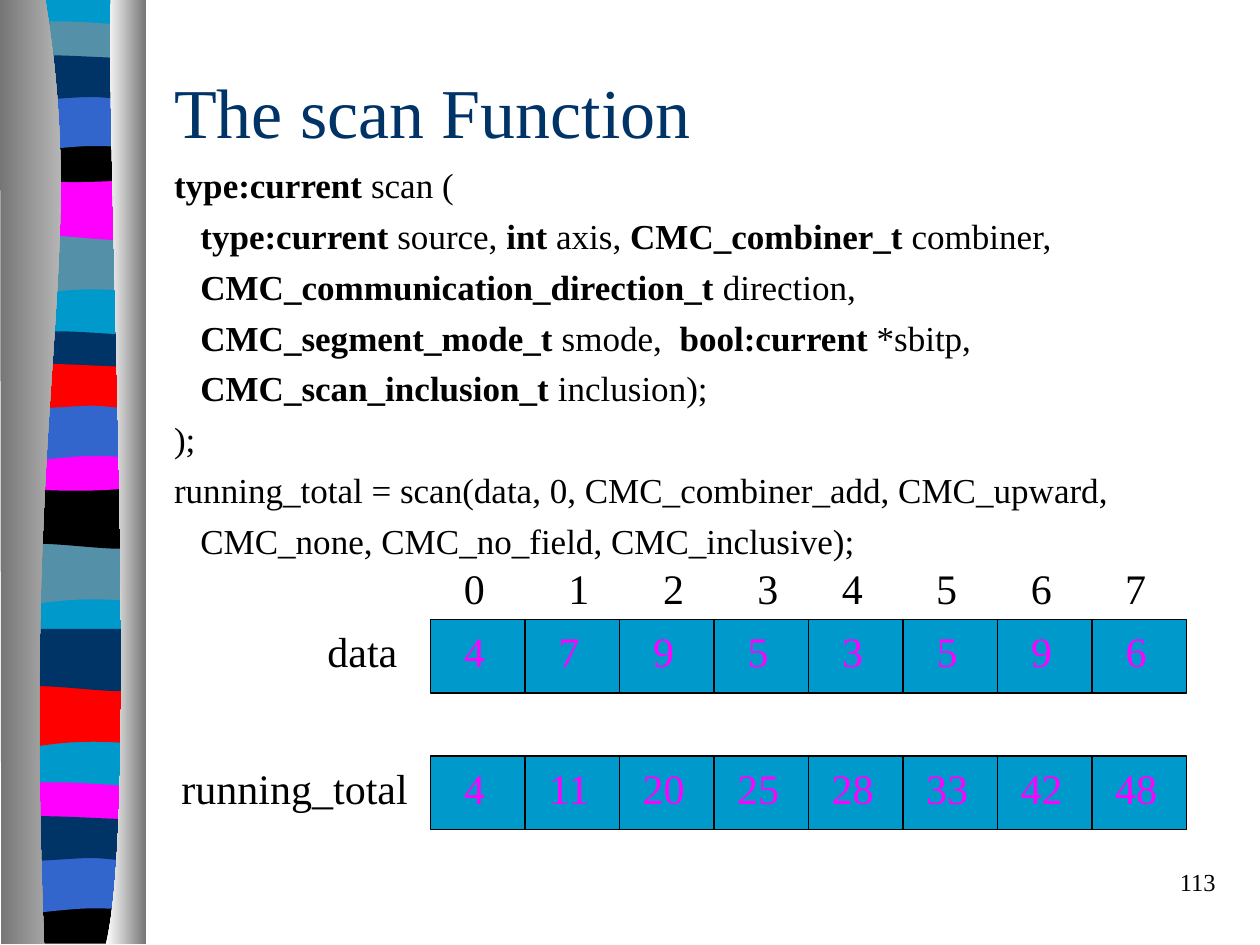
from pptx import Presentation
from pptx.dml.color import RGBColor
from pptx.enum.shapes import MSO_SHAPE as Shape
from pptx.enum.text import MSO_ANCHOR as Anchor, PP_ALIGN as Align
from pptx.oxml.ns import qn
from pptx.util import Cm, Pt
from lxml.etree import SubElement

FONT = "Times New Roman"
BLACK = RGBColor(0x00, 0x00, 0x00)
WHITE = RGBColor(0xFF, 0xFF, 0xFF)
NAVY = RGBColor(0x00, 0x33, 0x66)
CYAN = RGBColor(0x00, 0x99, 0xCC)
TEAL = RGBColor(0x54, 0x90, 0xA8)
BLUE = RGBColor(0x33, 0x66, 0xCC)
MAGENTA = RGBColor(0xFF, 0x00, 0xFF)
RED = RGBColor(0xFF, 0x00, 0x00)
GRAY = RGBColor(0x76, 0x76, 0x76)
SILVER = RGBColor(0xD4, 0xD4, 0xD4)

# Outlines are in inches: a pair is a corner, a triple of pairs a Bezier curve
INCH = Cm(2.54)
BAND_LEFT = 0.06
SAG = ((0.66, 0.05), (0.85, 0), (1.08, 0))
BANDS = {
    "fall": [(1.08, 0), (1.08, 0.47),
             ((0.33, 0.39), (0.18, 0.55), (0, 0.47)), (0, 0)],
    "swell": [(1.08, 0), (1.08, 0.47),
              ((0.9, 0.55), (0.33, 0.41), (0, 0.47)), (0, 0)],
    "lens": [(1.08, 0.05), (1.08, 0.29),
             ((0.9, 0.33), (0.18, 0.33), (0, 0.29)), (0, 0.05),
             ((0.06, 0), (0.23, 0.01), (0.41, 0.01)),
             ((0.59, 0.01), (0.94, 0.04), (1.08, 0.05))],
    "dip": [(1.08, 0), (1.08, 0.32),
            ((0.9, 0.38), (0.18, 0.38), (0, 0.32)), (0, 0), SAG],
    "base": [(1.08, 0), (1.08, 0.37), (0, 0.37), (0, 0), SAG],
    "arch": [(1.08, 0), (1.08, 0.47),
             ((0.91, 0.42), (0.84, 0.42), (0.66, 0.42)),
             ((0.48, 0.42), (0.16, 0.47), (0, 0.47)), (0, 0)],
    "flat": [(1.08, 0.05), (1.08, 0.36),
             ((1.01, 0.41), (0.84, 0.36), (0.66, 0.36)),
             ((0.48, 0.36), (0.11, 0.41), (0, 0.36)), (0, 0.05),
             ((0.15, 0), (0.73, 0.05), (0.91, 0.05)),
             ((1.09, 0.05), (1.04, 0.05), (1.08, 0.05))],
}
BAND_ROWS = [
    ("fall", 1.85, TEAL), ("swell", 1.41, MAGENTA), ("lens", 0.16, TEAL),
    ("dip", 1.08, BLACK), ("arch", 0.74, BLUE), ("flat", 0.41, NAVY),
    ("fall", 4.31, TEAL), ("swell", 3.86, BLACK), ("lens", 2.62, NAVY),
    ("dip", 3.53, MAGENTA), ("arch", 3.2, BLUE), ("flat", 2.86, RED),
    ("fall", 5.44, RED), ("swell", 4.99, NAVY), ("lens", 6.2, MAGENTA),
    ("base", 7.12, BLACK), ("arch", 6.79, BLUE), ("flat", 6.45, NAVY),
]
BACKING = [(1.08, 0), (1.08, 7.47), (0, 7.47), (0, 0)]
LEFT_PILLAR = [(0.36, 0), ((0.71, 2.16), (0.17, 2.96), (0.35, 7.49)),
               (0.01, 7.49), (0, 0)]
RIGHT_PILLAR = [(0.88, 0), ((0.84, 1.25), (1.11, 6.46), (0.84, 7.49)),
                (1.16, 7.49), (1.16, 0)]

# Each line is a list of (text, bold)
CODE = [
    [("type:current", True), (" scan (", False)],
    [("   ", False), ("type:current", True), (" source,", False),
     (" int", True), (" axis, ", False), ("CMC_combiner_t", True),
     (" combiner,", False)],
    [("   ", False), ("CMC_communication_direction_t", True),
     (" direction,", False)],
    [("   ", False), ("CMC_segment_mode_t", True), (" smode,  ", False),
     ("bool:current", True), (" *sbitp,", False)],
    [("   ", False), ("CMC_scan_inclusion_t", True), (" inclusion);", False)],
    [(");", False)],
    [("running_total = scan(data, 0, CMC_combiner_add, CMC_upward,", False)],
    [("   CMC_none, CMC_no_field, CMC_inclusive);", False)],
]

DATA = [4, 7, 9, 5, 3, 5, 9, 6]
TOTALS = [4, 11, 20, 25, 28, 33, 42, 48]
CELL_LEFT, CELL_HEIGHT = Cm(8.68), Cm(1.48)
CELL_WIDTH = Cm(15.24) // len(DATA)
DATA_TOP, TOTAL_TOP = Cm(12.49), Cm(15.24)
INDEX_STOPS = [0.85, 2.96, 4.87, 6.77, 8.47, 10.37, 12.28, 14.18]


def add_outline(page, outline, left=0, top=0):
    """Draw straight sides, then join each triple of them into one curve."""
    points, curve_starts = [], []
    for part in outline:
        if isinstance(part[0], tuple):
            curve_starts.append(len(points) - 1)
            points.extend(part)
        else:
            points.append(part)
    points = [((left + x) * INCH, (top + y) * INCH) for x, y in points]
    builder = page.shapes.build_freeform(*points[0])
    builder.add_line_segments(points[1:], close=True)
    shape = builder.convert_to_shape()
    sides = list(shape._element.iter(qn("a:lnTo")))
    for start in curve_starts:
        first, *others = sides[start:start + 3]
        first.tag = qn("a:cubicBezTo")
        for side in others:
            first.append(side[0])
            side.getparent().remove(side)
    shape.shadow.inherit = False
    shape.line.fill.background()
    return shape


def add_band(page, outline, top, color):
    band = add_outline(page, outline, BAND_LEFT, top)
    band.fill.solid()
    band.fill.fore_color.rgb = color


def add_pillar(page, outline, start, end):
    fill = add_outline(page, outline).fill
    fill.gradient()
    fill.gradient_angle = 0
    for stop, color, place in zip(fill.gradient_stops, (start, end), (0, 1)):
        stop.color.rgb = color
        stop.position = place


def add_span(para, text, size, color=BLACK, bold=False):
    span = para.add_run()
    span.text = text
    font = span.font
    font.name, font.size, font.bold = FONT, Pt(size), bold
    font.color.rgb = color


def add_text(page, place, lines, size, color=BLACK, align=Align.LEFT,
             anchor=Anchor.TOP, gap=0):
    frame = page.shapes.add_textbox(*map(Cm, place)).text_frame
    frame.word_wrap = True
    frame.vertical_anchor = anchor
    for number, line in enumerate(lines):
        para = frame.add_paragraph() if number else frame.paragraphs[0]
        para.alignment = align
        if number:
            para.space_before = Pt(gap)
        for text, bold in line:
            add_span(para, text, size, color, bold)
    return frame


def add_cells(page, top, values):
    for column, value in enumerate(values):
        cell = page.shapes.add_shape(Shape.RECTANGLE, CELL_LEFT + column * CELL_WIDTH,
                                     top, CELL_WIDTH, CELL_HEIGHT)
        cell.shadow.inherit = False
        cell.fill.solid()
        cell.fill.fore_color.rgb = CYAN
        cell.line.color.rgb = BLACK
        cell.line.width = Pt(0.75)
        frame = cell.text_frame
        frame.vertical_anchor = Anchor.TOP
        frame.margin_left, frame.margin_right = Cm(0.25), Cm(0.38)
        para = frame.paragraphs[0]
        para.alignment = Align.CENTER
        add_span(para, str(value), 24, MAGENTA)


def add_indices(page):
    text = "".join(f"\t{index}" for index in range(len(INDEX_STOPS)))
    frame = add_text(page, (8.25, 11.22, 16.5, 1.27), [[(text, False)]], 24)
    props = frame.paragraphs[0]._p.get_or_add_pPr()
    tabs = SubElement(props, qn("a:tabLst"))
    for stop in INDEX_STOPS:
        SubElement(tabs, qn("a:tab"), pos=str(Cm(stop)), algn="l")


def main():
    deck = Presentation()
    deck.slide_width, deck.slide_height = Cm(25.4), Cm(19.05)
    page = deck.slides.add_slide(deck.slide_layouts[6])

    # Striped ribbon between two pillars
    add_band(page, BACKING, 0, CYAN)
    for kind, top, color in BAND_ROWS:
        add_band(page, BANDS[kind], top, color)
    add_pillar(page, LEFT_PILLAR, GRAY, SILVER)
    add_pillar(page, RIGHT_PILLAR, WHITE, GRAY)

    # Title and code
    add_text(page, (3.26, 1.27, 21.6, 1.9), [[("The scan Function", False)]], 40,
             NAVY, anchor=Anchor.MIDDLE)
    add_text(page, (3.26, 3.18, 21.6, 13.77), CODE, 20, gap=5)

    # Arrays with indices and labels
    add_indices(page)
    add_cells(page, DATA_TOP, DATA)
    add_cells(page, TOTAL_TOP, TOTALS)
    add_text(page, (5.51, 12.49, 2.75, 1.27), [[("data", False)]], 24,
             align=Align.RIGHT)
    add_text(page, (2.12, 15.24, 6.35, 1.27), [[("running_total", False)]], 24,
             align=Align.RIGHT)

    # Page number
    add_text(page, (19.48, 17.35, 5.28, 1.27), [[("113", False)]], 14,
             align=Align.RIGHT)
    deck.save("out.pptx")


if __name__ == "__main__":
    main()
